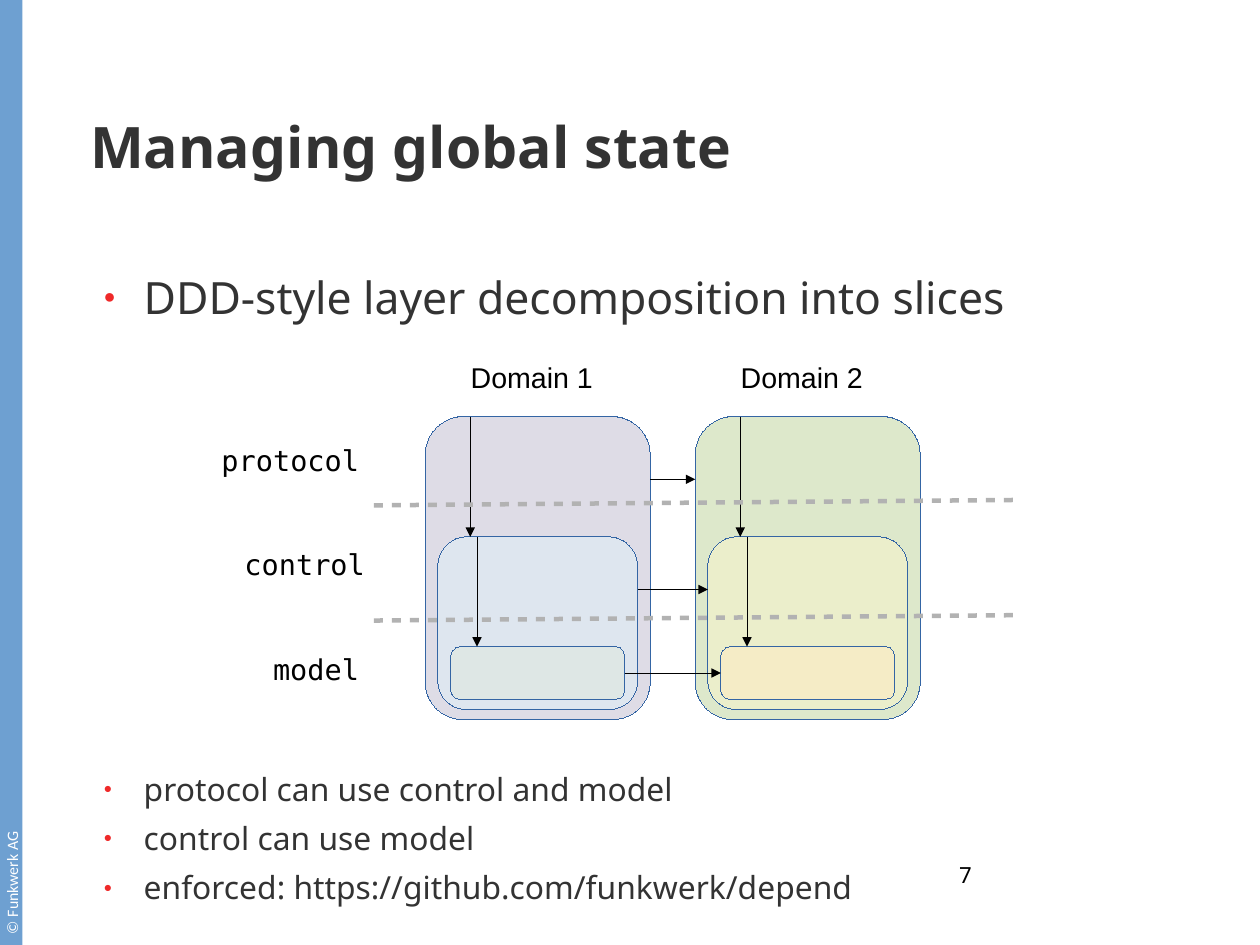
"""Build the slide on layered domains and their allowed dependencies."""
from lxml import etree
from pptx import Presentation, util as u
from pptx.dml.color import RGBColor
from pptx.enum import shapes, text
from pptx.oxml.ns import qn

COLUMNS, ROWS = 28, 21
WIDTH, HEIGHT = u.Cm(COLUMNS), u.Cm(ROWS)
HAIRLINE = 0.01
COLORS = {
    "sidebar": "6EA0D1", "white": "FFFFFF", "ink": "333333", "black": "000000",
    "bullet": "EF2929", "outline": "3465A4", "divider": "B2B2B2",
}
DOMAINS = [
    ("Domain 1", 9.45, ("DEDCE6", "DEE6EF", "DEE7E5")),
    ("Domain 2", 15.45, ("DDE8CB", "EBEECB", "F5ECC6")),
]
LAYERS = [(0, 9.26, 5, 6.73), (0.28, 11.93, 4.44, 3.84), (0.57, 14.37, 3.86, 1.17)]
LABELS = [("protocol", 4.23, 9.72), ("control", 4.36, 12.03), ("model", 4.23, 14.37)]
BULLETS = [
    ("DDD-style layer decomposition into slices", 28, 0, 0),
    ("protocol can use control and model", 20, 281, 7.1),
    ("control can use model", 20, 0, 7.1),
    ("enforced: https://github.com/funkwerk/depend", 20, 0, 0),
]


def grid(col, row):
    """Return the slide position of a grid column and row."""
    return round(WIDTH * col / COLUMNS), round(HEIGHT * row / ROWS)


def box(col, row, cols, rows):
    """Return left, top, width and height of a grid area."""
    return *grid(col, row), *grid(cols, rows)


def color(name):
    """Return the colour for a name or a hex string."""
    return RGBColor.from_string(COLORS.get(name, name))


def format_runs(p, size, font, name, bold=False):
    """Set the font of every run in a paragraph."""
    for r in p.runs:
        r.font.size, r.font.name, r.font.bold = u.Pt(size), font, bold
        r.font.color.rgb = color(name)


def set_frame(tf, margins=(0, 0), anchor=text.MSO_ANCHOR.TOP):
    """Give a text frame fixed size, wrapping, margins and anchor."""
    tf.word_wrap, tf.auto_size = True, text.MSO_AUTO_SIZE.NONE
    tf.margin_left = tf.margin_right = u.Inches(margins[0])
    tf.margin_top = tf.margin_bottom = u.Inches(margins[1])
    tf.vertical_anchor = anchor


def add_label(s, area, words, size, font, name="black",
              align=text.PP_ALIGN.LEFT, margins=(0.1, 0.05)):
    """Add a one-line text box."""
    sp = s.shapes.add_textbox(*box(*area))
    set_frame(sp.text_frame, margins)
    sp.text_frame.text = words
    p = sp.text_frame.paragraphs[0]
    p.alignment = align
    format_runs(p, size, font, name)
    return sp


def add_block(s, kind, area, fill, outline=None):
    """Add a filled shape, with a hairline when an outline is named."""
    sp = s.shapes.add_shape(kind, *box(*area))
    sp.shadow.inherit = False
    sp.fill.solid()
    sp.fill.fore_color.rgb = color(fill)
    if outline:
        sp.line.color.rgb = color(outline)
        sp.line.width = u.Pt(HAIRLINE)
    else:
        sp.line.fill.background()
    return sp


def add_line(s, start, end, name="black", width=HAIRLINE):
    """Add a straight line without shadow."""
    line = s.shapes.add_connector(
        shapes.MSO_CONNECTOR.STRAIGHT, *grid(*start), *grid(*end))
    line.line.color.rgb = color(name)
    line.line.width = u.Pt(width)
    etree.SubElement(line._element.spPr, qn("a:effectLst"))
    return line


def add_arrow(s, start, end):
    """Add a hairline with a triangle at its end."""
    arrow = add_line(s, start, end)
    etree.SubElement(arrow.line._get_or_add_ln(), qn("a:tailEnd"), type="triangle")
    return arrow


def add_divider(s, left_row, right_row):
    """Add a dashed line between two layers."""
    line = add_line(s, (8.31, left_row), (22.61, right_row), "divider", 2.83)
    dash = etree.SubElement(line.line._get_or_add_ln(), qn("a:custDash"))
    etree.SubElement(dash, qn("a:ds"), d="200000", sp="200000")


def add_domain(s, name, col, fills):
    """Add a domain with nested layers and return its model layer."""
    add_label(s, (col + 0.76, 7.87, 5, 1.12), name, 18, "Arial")
    for (inset, row, cols, rows), fill in zip(LAYERS, fills):
        sp = add_block(s, shapes.MSO_SHAPE.ROUNDED_RECTANGLE,
                       (col + inset, row, cols, rows), fill, "outline")
        sp.adjustments[0] = 0.167
    for offset, upper, lower in ((1, *LAYERS[:2]), (1.15, *LAYERS[1:])):
        add_arrow(s, (col + offset, upper[1]), (col + offset, lower[1]))
    return sp


def add_dependencies(s, models):
    """Add the arrows from the layers of one domain to the next."""
    first, second = (col for _, col, _ in DOMAINS)
    arrows = [
        add_arrow(s, (first + inset + cols, row), (second + inset, row))
        for (inset, _, cols, _), row in zip(LAYERS, (10.65, 13.1, 14.96))
    ]
    arrows[-1].begin_connect(models[0], 3)
    arrows[-1].end_connect(models[1], 1)


def set_bullet(p):
    """Give a paragraph a hanging red bullet."""
    pPr = p._p.get_or_add_pPr()
    pPr.set("marL", str(u.Inches(0.47)))
    pPr.set("indent", str(u.Inches(-0.35)))
    tint = etree.SubElement(pPr, qn("a:buClr"))
    etree.SubElement(tint, qn("a:srgbClr"), val=COLORS["bullet"])
    etree.SubElement(pPr, qn("a:buSzPct"), val="45000")
    etree.SubElement(pPr, qn("a:buChar"), char="●")


def fill_title(sp):
    """Place and format the title."""
    sp.left, sp.top, sp.width, sp.height = box(2, 0.83, 24.6, 3.16)
    set_frame(sp.text_frame, anchor=text.MSO_ANCHOR.BOTTOM)
    sp.text_frame.text = "Managing global state"
    p = sp.text_frame.paragraphs[0]
    p.alignment = text.PP_ALIGN.LEFT
    format_runs(p, 36, "Noto Sans", "ink", True)


def fill_body(sp):
    """Place the list, leaving room for the diagram after its first item."""
    sp.left, sp.top, sp.width, sp.height = box(2, 6, 24, 14.4)
    set_frame(sp.text_frame)
    sp.text_frame.text = "\n".join(words for words, *_ in BULLETS)
    for p, (_, size, before, after) in zip(sp.text_frame.paragraphs, BULLETS):
        set_bullet(p)
        p.space_before, p.space_after = u.Pt(before), u.Pt(after)
        format_runs(p, size, "Noto Sans", "ink")


def add_sidebar(s):
    """Add the blue strip with its upright copyright line."""
    add_block(s, shapes.MSO_SHAPE.RECTANGLE, (0, 0, 0.5, ROWS), "sidebar")
    sp = add_label(s, (-8.81, 11.58, 18.16, 0.69), "© Funkwerk AG", 10,
                   "Calibri", "white")
    sp.rotation = 270


def main():
    """Build and save the slide."""
    prs = Presentation()
    prs.slide_width, prs.slide_height = WIDTH, HEIGHT
    s = prs.slides.add_slide(prs.slide_layouts[1])
    fill_title(s.shapes.title)
    fill_body(s.placeholders[1])
    add_sidebar(s)
    for words, cols, row in LABELS:
        add_label(s, (4, row, cols, 1.14), words, 18, "DejaVu Sans Mono",
                  align=text.PP_ALIGN.RIGHT)
    models = [add_domain(s, *domain) for domain in DOMAINS]
    add_divider(s, 11.23, 11.11)
    add_divider(s, 13.79, 13.67)
    add_dependencies(s, models)
    add_label(s, (15.8, 19.15, 5.8, 1.45), "7", 14, "Noto Sans",
              align=text.PP_ALIGN.RIGHT, margins=(0, 0))
    prs.save("out.pptx")


if __name__ == "__main__":
    main()
